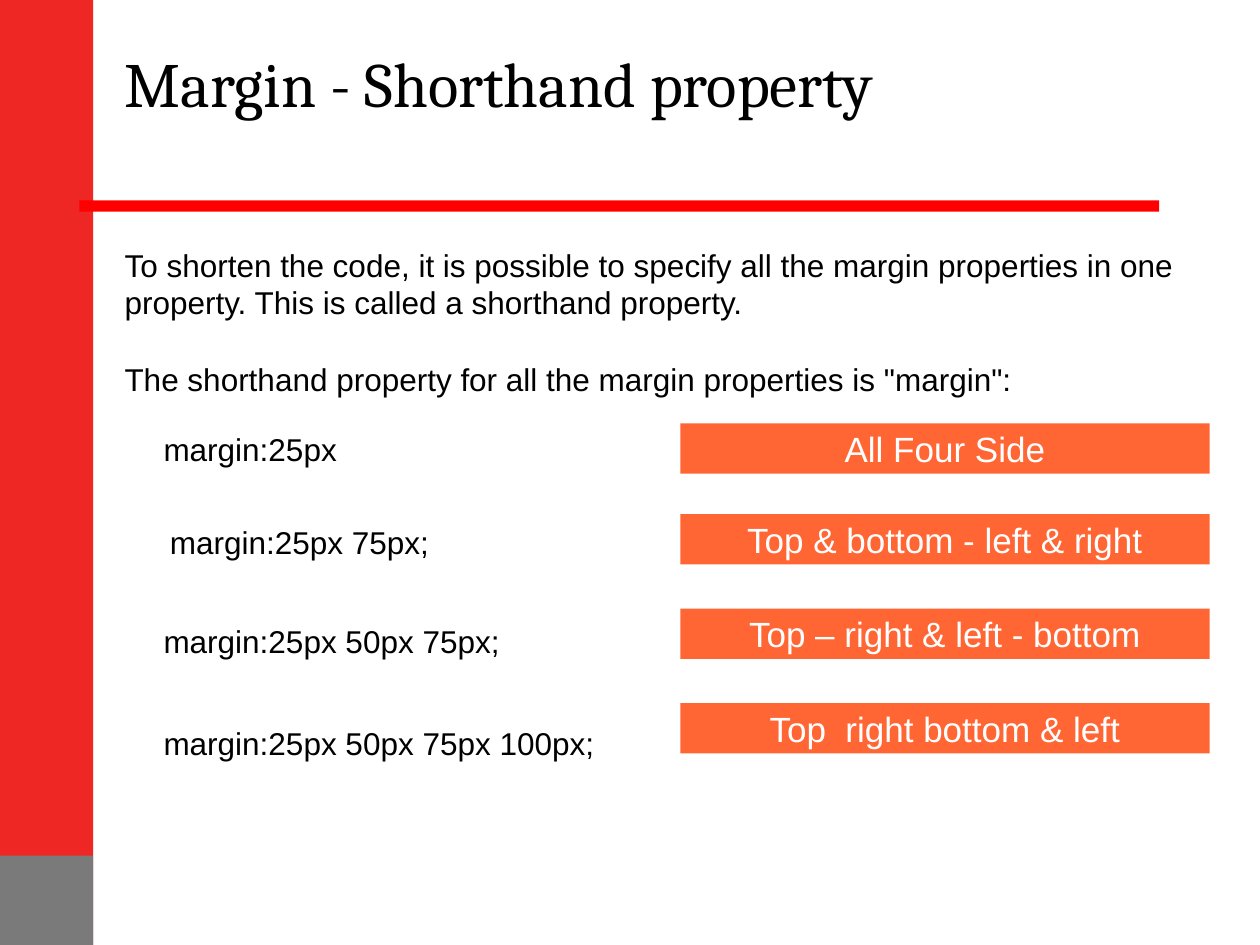
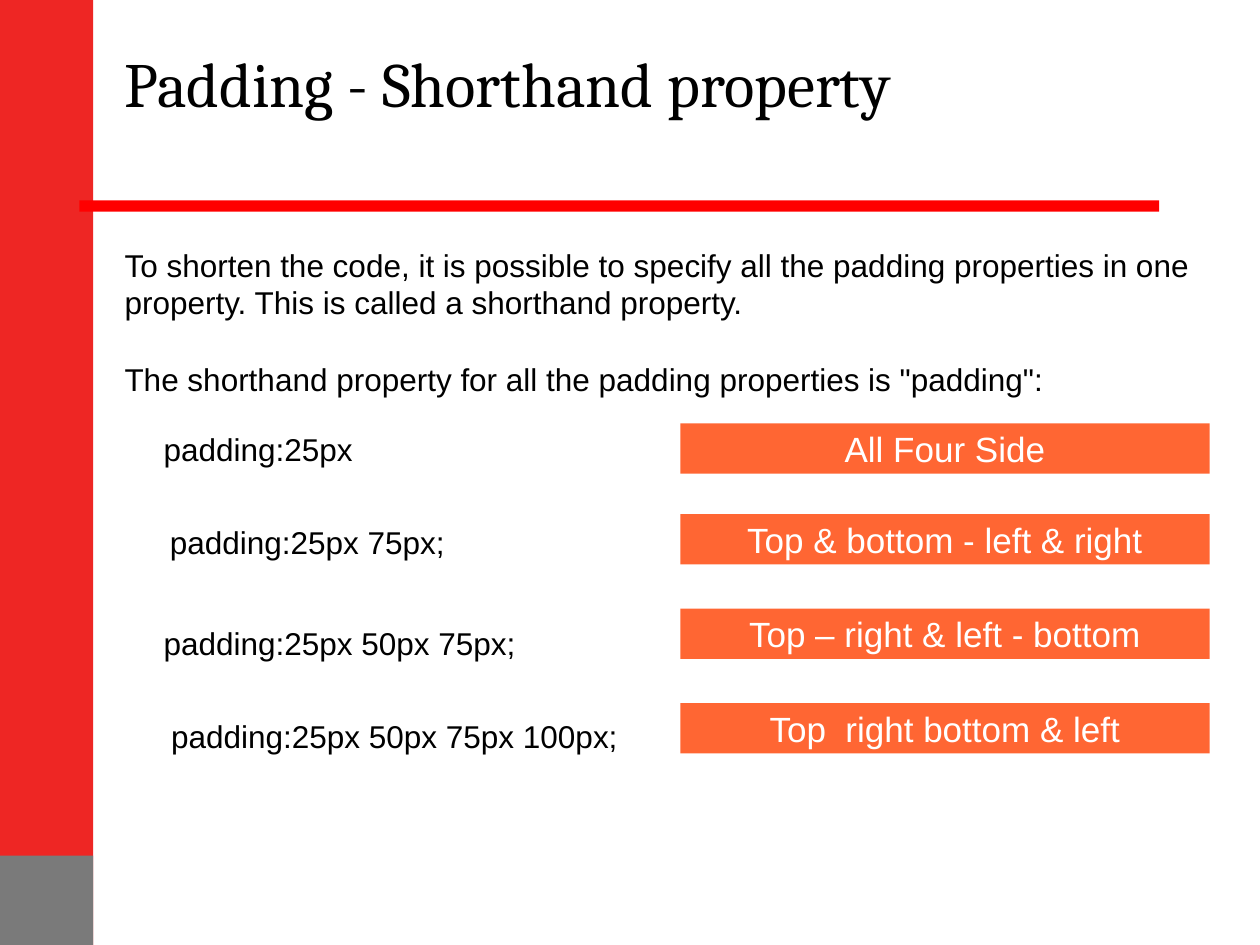
from pptx import Presentation
from pptx.dml.color import RGBColor
from pptx.enum.shapes import MSO_SHAPE
from pptx.enum.text import MSO_ANCHOR, MSO_AUTO_SIZE, PP_ALIGN
from pptx.util import Inches, Pt

RED, GRAY, RULE_RED, ORANGE = "EE2624", "7A7A7A", "FF0000", "FF6633"
BLACK, WHITE = "000000", "FFFFFF"

TITLE_FONT = {"name": "Cambria", "size": Pt(36), "bold": False}
BODY_FONT = {"name": "Arial", "size": Pt(18)}
LABEL_FONT = {"name": "Arial", "size": Pt(20)}

TOP_FRAME = {
    "word_wrap": True,
    "auto_size": MSO_AUTO_SIZE.NONE,
    "vertical_anchor": MSO_ANCHOR.TOP,
}
MIDDLE_FRAME = {**TOP_FRAME, "vertical_anchor": MSO_ANCHOR.MIDDLE}
LEFT = {"alignment": PP_ALIGN.LEFT}
CENTER = {"alignment": PP_ALIGN.CENTER}
AFTER_GAP = {**LEFT, "space_before": Pt(22)}

SIDE_BANDS = [
    (0, 0, 0.74, 7.5, RED),
    (0, 6.79, 0.74, 0.71, GRAY),
    (0.63, 1.59, 8.57, 0.09, RULE_RED),
]
VALUES = ["25px", "25px 75px;", "25px 50px 75px;", "25px 50px 75px 100px;"]
SIDES = [
    ("All Four Side", 3.36),
    ("Top & bottom - left & right", 4.08),
    ("Top – right & left - bottom", 4.83),
    ("Top  right bottom & left", 5.58),
]
CODE_PLACES = {
    "margin": [(1.2, 3.36), (1.25, 4.1), (1.2, 4.89), (1.2, 5.7)],
    "padding": [(1.2, 3.36), (1.25, 4.1), (1.2, 4.9), (1.26, 5.64)],
}


def color(value):
    return RGBColor.from_string(value)


def apply_format(target, values):
    for name, value in values.items():
        setattr(target, name, value)


def write_paragraph(para, text, font, font_color, layout):
    apply_format(para, layout)
    span = para.add_run()
    span.text = text
    apply_format(span.font, font)
    span.font.color.rgb = color(font_color)


def add_title(page, text):
    title = page.shapes.title
    place = {"left": 0.89, "top": 0.3, "width": 8.33, "height": 1.25}
    apply_format(title, {name: Inches(value) for name, value in place.items()})
    apply_format(title.text_frame, TOP_FRAME)
    write_paragraph(title.text_frame.paragraphs[0], text, TITLE_FONT, BLACK, LEFT)


def add_rectangle(page, left, top, width, height, fill):
    box = page.shapes.add_shape(
        MSO_SHAPE.RECTANGLE, Inches(left), Inches(top), Inches(width), Inches(height)
    )
    box.shadow.inherit = False
    box.fill.solid()
    box.fill.fore_color.rgb = color(fill)
    box.line.fill.background()
    return box


def add_label(page, text, top):
    frame = add_rectangle(page, 5.4, top, 4.2, 0.4, ORANGE).text_frame
    apply_format(frame, MIDDLE_FRAME)
    write_paragraph(frame.paragraphs[0], text, LABEL_FONT, WHITE, CENTER)


def add_text(page, left, top, width, height, first, *others):
    box = page.shapes.add_textbox(
        Inches(left), Inches(top), Inches(width), Inches(height)
    )
    frame = box.text_frame
    apply_format(frame, TOP_FRAME)
    write_paragraph(frame.paragraphs[0], first, BODY_FONT, BLACK, LEFT)
    for text in others:
        write_paragraph(frame.add_paragraph(), text, BODY_FONT, BLACK, AFTER_GAP)


def add_shorthand_page(deck, name, code_places):
    page = deck.slides.add_slide(deck.slide_layouts[5])
    for band in SIDE_BANDS:
        add_rectangle(page, *band)
    add_title(page, f"{name.capitalize()} - Shorthand property")
    add_text(
        page, 0.89, 1.9, 8.82, 1.55,
        f"To shorten the code, it is possible to specify all the {name} properties "
        "in one property. This is called a shorthand property.",
        f'The shorthand property for all the {name} properties is "{name}":',
    )
    for value, (left, top), (sides, label_top) in zip(VALUES, code_places, SIDES):
        add_text(page, left, top, 3.9, 0.38, f"{name}:{value}")
        add_label(page, sides, label_top)


def main():
    deck = Presentation()
    deck.slide_width, deck.slide_height = Inches(10), Inches(7.5)
    for name, code_places in CODE_PLACES.items():
        add_shorthand_page(deck, name, code_places)
    deck.save("out.pptx")


if __name__ == "__main__":
    main()
